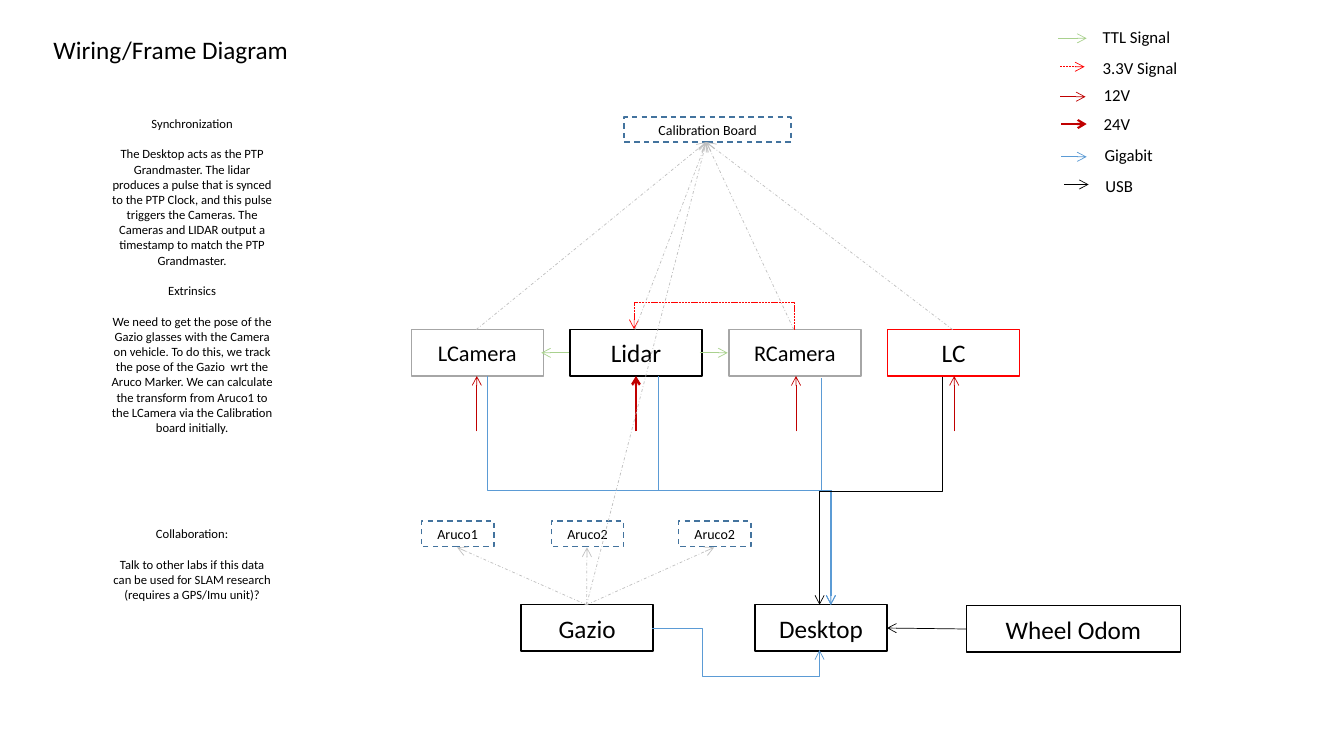
from lxml import etree
from pptx import Presentation
from pptx.dml.color import RGBColor
from pptx.enum import dml, shapes, text
from pptx.oxml import ns
from pptx.util import Pt

BLACK = RGBColor(0x00, 0x00, 0x00)
WHITE = RGBColor(0xFF, 0xFF, 0xFF)
GRAY = RGBColor(0xA6, 0xA6, 0xA6)
PALE = RGBColor(0xBF, 0xBF, 0xBF)
NAVY = RGBColor(0x43, 0x73, 0x9E)
BLUE = RGBColor(0x5B, 0x9B, 0xD5)
GREEN = RGBColor(0xA9, 0xD1, 0x8E)
RED = RGBColor(0xFF, 0x00, 0x00)
CRIMSON = RGBColor(0xC0, 0x00, 0x00)

LEFT, MID = text.PP_ALIGN.LEFT, text.PP_ALIGN.CENTER
DASH = dml.MSO_LINE.DASH
DOT = dml.MSO_LINE.SQUARE_DOT
MIXED = dml.MSO_LINE.DASH_DOT


def write(shape, words, size=12, align=LEFT, anchor=text.MSO_ANCHOR.TOP, gap=0):
    frame = shape.text_frame
    frame.word_wrap = True
    frame.auto_size = text.MSO_AUTO_SIZE.NONE
    frame.vertical_anchor = anchor
    frame.text = words
    for i, para in enumerate(frame.paragraphs):
        para.alignment = align
        para.space_before = Pt(gap if i else 0)
        para.font.name = "Calibri"
        para.font.size = Pt(size)
        para.font.color.rgb = BLACK


def wire(start, end, color, width=0.5, dash=None, turn=None, bends=()):
    (x1, y1), (x2, y2) = start, end
    if turn:
        mid_x, mid_y = (x1 + x2) / 2, (y1 + y2) / 2
        run = abs(y2 - y1) / 2
        rise = (x2 - x1) / 2 * (1 if turn == 90 else -1)
        x1, x2 = mid_x - run, mid_x + run
        y1, y2 = mid_y + rise, mid_y - rise
    kind = shapes.MSO_CONNECTOR.STRAIGHT if turn is None else shapes.MSO_CONNECTOR.ELBOW
    link = slide.shapes.add_connector(kind, Pt(x1), Pt(y1), Pt(x2), Pt(y2))
    link.line.color.rgb = color
    link.line.width = Pt(width)
    if dash:
        link.line.dash_style = dash
    props = link._element.spPr
    if turn:
        props.find(ns.qn("a:xfrm")).set("rot", str(turn * 60000))
    if bends:
        geom = props.find(ns.qn("a:prstGeom"))
        geom.set("prst", f"bentConnector{len(bends) + 2}")
        for i, bend in enumerate(bends, 1):
            etree.SubElement(geom.find(ns.qn("a:avLst")), ns.qn("a:gd"),
                             name=f"adj{i}" if len(bends) > 1 else "adj1",
                             fmla=f"val {round(bend * 100000)}")
    etree.SubElement(props.find(ns.qn("a:ln")), ns.qn("a:tailEnd"), type="arrow")
    etree.SubElement(props, ns.qn("a:effectLst"))


deck = Presentation()
deck.slide_width, deck.slide_height = Pt(960), Pt(540)
slide = deck.slides.add_slide(deck.slide_layouts[5])

title = slide.shapes.title
title.left, title.top, title.width, title.height = Pt(31), Pt(20.9), Pt(236), Pt(29)
write(title, "Wiring/Frame Diagram", size=18)

notes = [
    (79.2, 280, [
        "Synchronization",
        "The Desktop acts as the PTP Grandmaster. The lidar produces a pulse that is "
        "synced to the PTP Clock, and this pulse triggers the Cameras. The Cameras and "
        "LIDAR output a timestamp to match the PTP Grandmaster.",
        "Extrinsics",
        "We need to get the pose of the Gazio glasses with the Camera on vehicle. To do "
        "this, we track the pose of the Gazio  wrt the Aruco Marker. We can calculate "
        "the transform from Aruco1 to the LCamera via the Calibration board initially.",
    ]),
    (372.2, 73, [
        "Collaboration:",
        "Talk to other labs if this data can be used for SLAM research "
        "(requires a GPS/Imu unit)?",
    ]),
]
for top, high, paras in notes:
    box = slide.shapes.add_textbox(Pt(71.3), Pt(top), Pt(131.8), Pt(high))
    write(box, "\n".join(paras), size=9, align=MID, gap=11)

ROW, FOOT, BASE = 235.4, 268.6, 432
cols = [293.8 + 113.4 * i for i in range(4)]
tags = [301, 393.8, 484.6]
boxes = [
    ("LCamera", cols[0], ROW, 94.3, 33.1, GRAY, 16, None),
    ("Lidar", cols[1], ROW, 94.3, 33.1, BLACK, 18, None),
    ("RCamera", cols[2], ROW, 94.3, 33.1, GRAY, 16, None),
    ("LC", cols[3], ROW, 94.3, 33.1, RED, 18, None),
    ("Gazio", 372.2, BASE, 94.3, 33.1, BLACK, 18, None),
    ("Desktop", 539.3, BASE, 94.3, 33.1, BLACK, 18, None),
    ("Wheel Odom", 690.5, 432.7, 152.6, 33.1, BLACK, 18, None),
    ("Calibration Board", 445.7, 83.5, 119.5, 18, NAVY, 10, DASH),
]
for name, left in zip(("Aruco1", "Aruco2", "Aruco2"), tags):
    boxes.append((name, left, 372.2, 51.8, 18.4, NAVY, 10, DASH))
for name, left, top, wide, high, color, size, dash in boxes:
    box = slide.shapes.add_shape(shapes.MSO_SHAPE.RECTANGLE,
                                 Pt(left), Pt(top), Pt(wide), Pt(high))
    box.shadow.inherit = False
    box.fill.solid()
    box.fill.fore_color.rgb = WHITE
    box.line.color.rgb = color
    box.line.width = Pt(1)
    if dash:
        box.line.dash_style = dash
    write(box, name, size=size, align=MID, anchor=text.MSO_ANCHOR.MIDDLE)

legend = [
    ("TTL Signal", 780.5, 15.8, 756, 776.2, 27.4, GREEN, 0.5, None),
    ("3.3V Signal", 780.5, 37.4, 757.4, 774.7, 47.7, RED, 0.5, DOT),
    ("12V", 781.2, 56.9, 757.4, 775.4, 69.1, CRIMSON, 0.5, None),
    ("24V", 781.2, 77.8, 758.2, 776.2, 88.6, CRIMSON, 1.5, None),
    ("Gigabit", 781.9, 100.1, 758.2, 776.2, 112, BLUE, 0.5, None),
    ("USB", 782.6, 121.7, 760.3, 777.6, 131.8, BLACK, 0.5, None),
]
for name, left, top, tail, tip, y, color, width, dash in legend:
    box = slide.shapes.add_textbox(Pt(left), Pt(top), Pt(132.5), Pt(21.6))
    write(box, name)
    wire((tail, y), (tip, y), color, width, dash)

wire((406.1, 252), (386.6, 252), GREEN)
wire((499.7, 252), (519.8, 252), GREEN)
wire((567.4, ROW), (452.9, ROW - 0.25), RED, dash=DOT, turn=270, bends=[75.5])

for x, width in ((340.6, 0.5), (454.3, 1.75), (568.6, 0.5), (681.6, 0.5)):
    wire((x, 308.2), (x, FOOT), CRIMSON, width)

for x, y in ((347.8, FOOT), (470.2, FOOT), (586.8, 270)):
    wire((x, y), (593.5, BASE), BLUE, turn=90, bends=[0.5])
wire((465.8, 448.6), (585.4, 464.4), BLUE, turn=0, bends=[0.3, 2.2])
wire((673.2, 269.3), (585.4, BASE), BLACK, turn=90, bends=[0.5])
wire((690.5, 449.3), (633.6, 448.6), BLACK)

board = (504.5, 101.5)
for left in cols:
    wire((left + 46.4, ROW), board, PALE, dash=MIXED)
for tip in [board] + [(left + 25.5, 391) for left in tags]:
    wire((419, BASE), tip, PALE, dash=MIXED)

deck.save("out.pptx")
